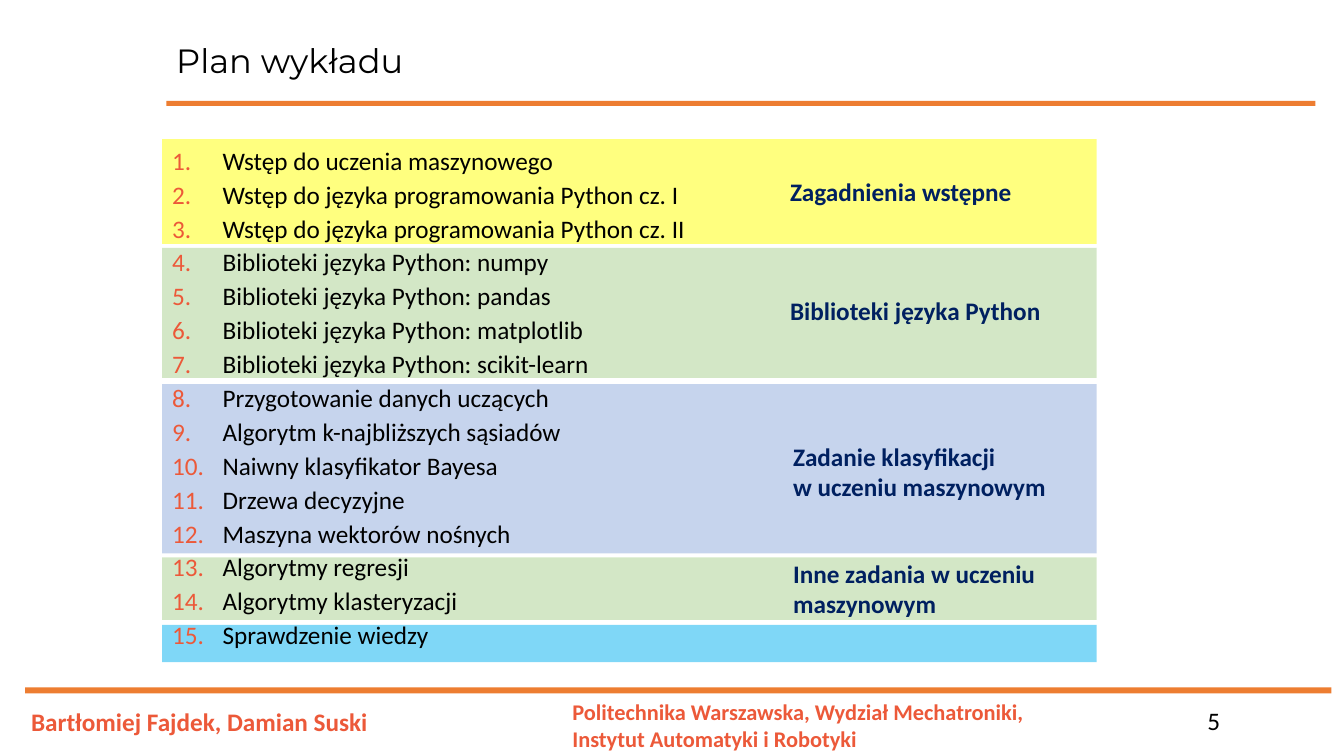
from dataclasses import dataclass

from lxml import etree
from pptx import Presentation
from pptx import util as u
from pptx.dml.color import RGBColor
from pptx.enum import shapes, text
from pptx.oxml import ns

COLUMNS, ROWS = 40, 30


@dataclass(frozen=True)
class Theme:
    heading_font: str = "Montserrat"
    body_font: str = "Calibri"
    heading_size: float = 24
    body_size: float = 18
    small_size: float = 16
    ink: str = "000000"
    navy: str = "002060"
    coral: str = "EC5939"
    orange: str = "ED7D31"
    yellow: str = "FFFF00"
    green: str = "A9D18E"
    blue: str = "8FAADC"
    sky: str = "00B0F0"
    topic_gap: float = 2.6


THEME = Theme()


@dataclass(frozen=True)
class Box:
    """An area of the slide in grid columns and rows."""
    left: float
    top: float
    width: float
    height: float

    def within(self, left, top, width, height):
        return Box(self.left + left, self.top + top, width, height)

    def lengths(self):
        column, row = u.Inches(13.33) / COLUMNS, u.Inches(7.5) / ROWS
        return [round(share * unit) for share, unit in (
            (self.left, column), (self.top, row),
            (self.width, column), (self.height, row))]


@dataclass(frozen=True)
class Section:
    """One coloured band of the plan; offsets are relative to the band."""
    color: str
    top: float
    height: float
    topics: tuple
    label: tuple = ()
    label_box: tuple = ()


SECTIONS = (
    Section(THEME.yellow, 0, 4.16,
            ("Wstęp do uczenia maszynowego",
             "Wstęp do języka programowania Python cz. I",
             "Wstęp do języka programowania Python cz. II"),
            ("Zagadnienia wstępne",), (18.39, 1.28, 7.23, 1.6)),
    Section(THEME.green, 4.32, 5.16,
            tuple(f"Biblioteki języka Python: {library}" for library in
                  ("numpy", "pandas", "matplotlib", "scikit-learn")),
            ("Biblioteki języka Python",), (18.39, 1.68, 8.1, 1.6)),
    Section(THEME.blue, 9.72, 6.72,
            ("Przygotowanie danych uczących",
             "Algorytm k-najbliższych sąsiadów",
             "Naiwny klasyfikator Bayesa",
             "Drzewa decyzyjne",
             "Maszyna wektorów nośnych"),
            ("Zadanie klasyfikacji", "w uczeniu maszynowym"),
            (18.48, 2.08, 8.37, 2.84)),
    Section(THEME.green, 16.6, 2.48,
            ("Algorytmy regresji", "Algorytmy klasteryzacji"),
            ("Inne zadania w uczeniu maszynowym",),
            (18.48, -0.16, 8.37, 2.84)),
    Section(THEME.sky, 19.28, 1.48, ("Sprawdzenie wiedzy",)),
)


def add_bar(page, box, color, opacity=100):
    bar = page.shapes.add_shape(shapes.MSO_SHAPE.RECTANGLE, *box.lengths())
    bar.shadow.inherit = False
    bar.line.fill.background()
    bar.fill.solid()
    bar.fill.fore_color.rgb = RGBColor.from_string(color)
    if opacity < 100:
        tint = bar.fill._xPr.find(".//" + ns.qn("a:srgbClr"))
        etree.SubElement(tint, ns.qn("a:alpha"), val=str(opacity * 1000))


def number_paragraph(para):
    """Turn the paragraph into a coral-numbered list item."""
    properties = para._p.get_or_add_pPr()
    indent = u.Inches(0.5)
    properties.set("marL", str(indent))
    properties.set("indent", str(-indent))
    color = etree.SubElement(properties, ns.qn("a:buClr"))
    etree.SubElement(color, ns.qn("a:srgbClr"), val=THEME.coral)
    etree.SubElement(properties, ns.qn("a:buFont"), typeface="+mj-lt")
    etree.SubElement(properties, ns.qn("a:buAutoNum"), type="arabicPeriod")


def add_text(page, box, lines, color=THEME.ink, numbered=False, gap=0,
             anchor=text.MSO_ANCHOR.TOP, spacing=None, wrap=True, **font):
    frame = page.shapes.add_textbox(*box.lengths()).text_frame
    frame.word_wrap = wrap
    frame.vertical_anchor = anchor
    formats = {"name": THEME.body_font, "size": THEME.body_size,
               "bold": False} | font
    formats["size"] = u.Pt(formats["size"])
    for index, line in enumerate(lines):
        para = frame.add_paragraph() if index else frame.paragraphs[0]
        if numbered:
            number_paragraph(para)
        if index and gap:
            para.space_before = u.Pt(gap)
        if spacing:
            para.line_spacing = spacing
        span = para.add_run()
        span.text = line
        for name, value in formats.items():
            setattr(span.font, name, value)
        span.font.color.rgb = RGBColor.from_string(color)


def add_heading(page, box, title):
    add_text(page, box.within(0, 0, box.width, 2.68), [title],
             anchor=text.MSO_ANCHOR.BOTTOM, spacing=0.9,
             name=THEME.heading_font, size=THEME.heading_size)
    add_bar(page, box.within(0, 3.28, box.width, 0.2), THEME.orange)


def add_plan(page, box, sections):
    for section in sections:
        band = box.within(0, section.top, box.width, section.height)
        add_bar(page, band, section.color, opacity=50)
        if section.label:
            add_text(page, band.within(*section.label_box), section.label,
                     THEME.navy, bold=True, wrap=section.label_box[3] > 2)
    topics = [topic for section in sections for topic in section.topics]
    add_text(page, box.within(0, 0.04, 16.2, 21.12), topics,
             numbered=True, gap=THEME.topic_gap)


def add_footer(page, box, authors, institute, number):
    add_bar(page, box.within(0.75, 0, 38.88, 0.24), THEME.orange)
    add_text(page, box.within(0.63, 0.56, 10.71, 1.84), [authors],
             THEME.coral, bold=True)
    add_text(page, box.within(16.74, 0.24, 17.46, 1.6), institute,
             THEME.coral, bold=True, size=THEME.small_size)
    add_text(page, box.within(35.64, 0.52, 3.51, 1.6), [number])


def main():
    deck = Presentation()
    deck.slide_width, deck.slide_height = u.Inches(13.33), u.Inches(7.5)
    page = deck.slides.add_slide(deck.slide_layouts[6])
    add_heading(page, Box(4.95, 0.72, 34.2, 3.48), "Plan wykładu")
    add_plan(page, Box(4.83, 5.52, 27.81, 20.76), SECTIONS)
    add_footer(page, Box(0, 27.28, COLUMNS, 2.72),
               "Bartłomiej Fajdek, Damian Suski",
               ["Politechnika Warszawska, Wydział Mechatroniki,",
                "Instytut Automatyki i Robotyki"], "5")
    deck.save("out.pptx")


if __name__ == "__main__":
    main()
